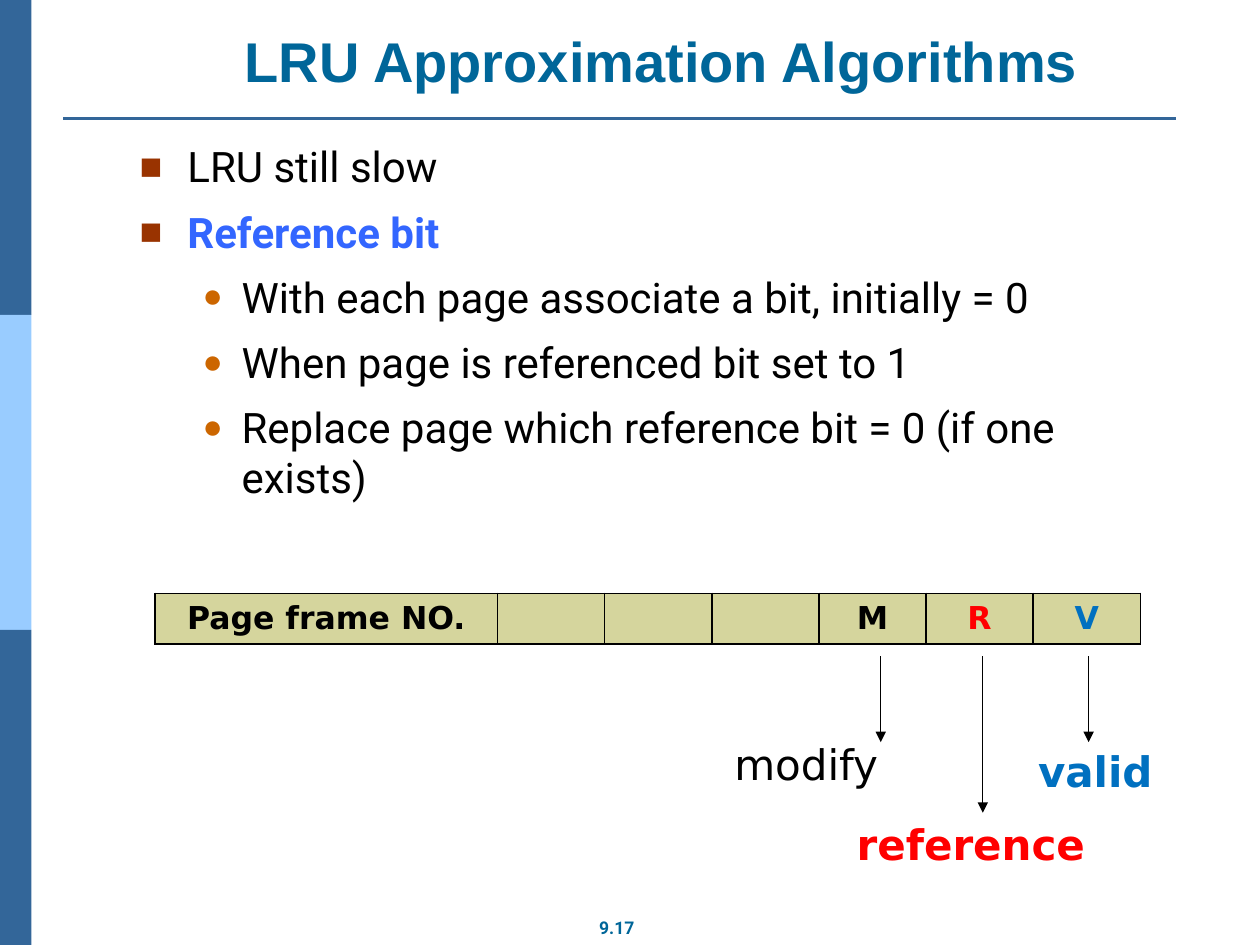
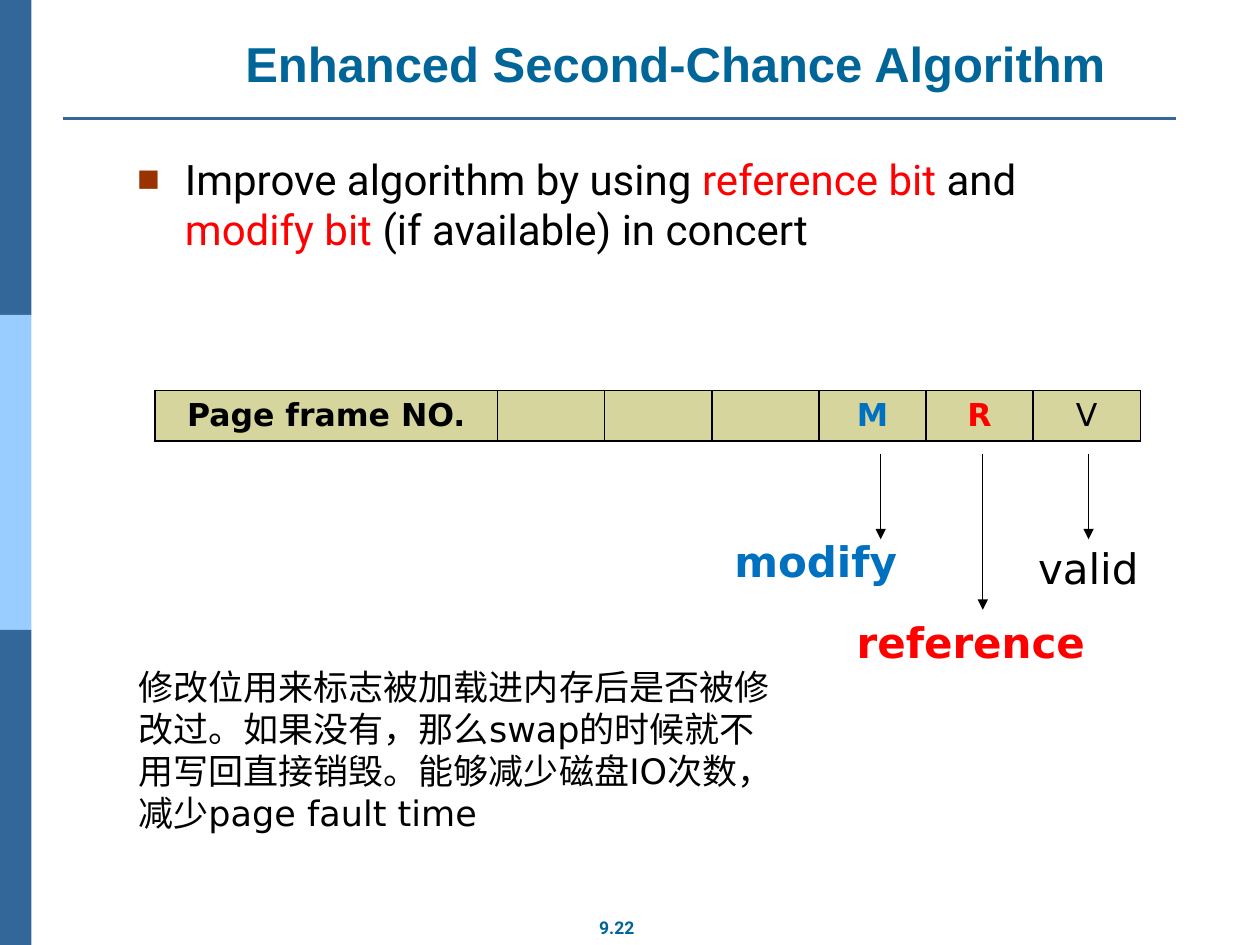
from lxml import etree
from pptx import Presentation
from pptx.dml.color import RGBColor
from pptx.enum import shapes, text
from pptx.oxml.ns import qn
from pptx.util import Inches, Pt

COLORS = {
    "band": "336699", "band_light": "99CCFF", "title": "006699",
    "square": "993300", "dot": "CC6600", "term": "3366FF",
    "black": "000000", "red": "FF0000", "blue": "0070C0", "cell": "D5D59D",
}
BODY_FONT, LABEL_FONT, TITLE_FONT = "Roboto", "DejaVu Sans", "Arial"
# Per level: character, colour, size in percent, left margin, hanging indent
BULLETS = [("■", "square", 90, 0.38, -0.38), ("●", "dot", 80, 0.81, -0.31)]
FRAME_COLUMNS = [2.72] + [0.85] * 6


def rgb(name):
    return RGBColor.from_string(COLORS[name])


def add_xml(parent, tag, **attributes):
    return etree.SubElement(parent, qn(tag), attributes)


def style(font, name, size, color, bold=False):
    font.name, font.size, font.bold = name, Pt(size), bold
    font.color.rgb = rgb(color)


def add_box(slide, left, top, width, height, wrap=True):
    box = slide.shapes.add_textbox(*map(Inches, (left, top, width, height)))
    box.text_frame.word_wrap = wrap
    return box.text_frame


def add_label(slide, place, words, font, size, color, bold=False,
              align=text.PP_ALIGN.LEFT, anchor=text.MSO_ANCHOR.TOP, wrap=True):
    frame = add_box(slide, *place, wrap=wrap)
    frame.vertical_anchor = anchor
    paragraph = frame.paragraphs[0]
    paragraph.text, paragraph.alignment = words, align
    style(paragraph.font, font, size, color, bold)


def add_line(slide, start, end, color, width, arrow=False):
    line = slide.shapes.add_connector(
        shapes.MSO_CONNECTOR.STRAIGHT, *map(Inches, start + end))
    line.line.color.rgb = rgb(color)
    line.line.width = Pt(width)
    if arrow:
        add_xml(line.line._get_or_add_ln(), "a:tailEnd", type="triangle")
    add_xml(line._element.spPr, "a:effectLst")


def add_slide(presentation, title, title_place, title_size, number):
    """Add a slide with the side bands, title, rule and page number."""
    slide = presentation.slides.add_slide(presentation.slide_layouts[6])
    for index, color in enumerate(("band", "band_light", "band")):
        band = slide.shapes.add_shape(
            shapes.MSO_SHAPE.RECTANGLE, 0, Inches(2.5 * index), Inches(0.25), Inches(2.5))
        band.shadow.inherit = False
        band.fill.solid()
        band.fill.fore_color.rgb = rgb(color)
        band.line.fill.background()
    add_line(slide, (0.5, 0.94), (9.33, 0.94), "band", 1.5)
    center = text.PP_ALIGN.CENTER
    add_label(slide, (4.65, 7.23, 0.49, 0.27), number, BODY_FONT, 10, "title", True,
              center, wrap=False)
    add_label(slide, title_place + (8.5, 0.63), title, TITLE_FONT, title_size, "title", True,
              center, text.MSO_ANCHOR.BOTTOM)
    return slide


def add_bullets(slide, place, items):
    """Each item is a level and a list of (words, colour, bold) runs."""
    frame = add_box(slide, *place)
    for index, (level, runs) in enumerate(items):
        paragraph = frame.add_paragraph() if index else frame.paragraphs[0]
        paragraph.level = level
        if index:
            paragraph.space_before = Pt(8.4)
        character, color, size, margin, indent = BULLETS[level]
        properties = paragraph._p.get_or_add_pPr()
        properties.set("marL", str(Inches(margin)))
        properties.set("indent", str(Inches(indent)))
        add_xml(add_xml(properties, "a:buClr"), "a:srgbClr", val=COLORS[color])
        add_xml(properties, "a:buSzPct", val=str(size * 1000))
        add_xml(properties, "a:buFont", typeface="Arial")
        add_xml(properties, "a:buChar", char=character)
        for words, run_color, bold in runs:
            run = paragraph.add_run()
            run.text = words
            style(run.font, BODY_FONT, 24, run_color, bold)


def format_cell(cell):
    properties = cell._tc.get_or_add_tcPr()
    for side in ("a:lnL", "a:lnR", "a:lnT", "a:lnB"):
        border = add_xml(properties, side, w=str(Pt(1)))
        add_xml(add_xml(border, "a:solidFill"), "a:srgbClr", val=COLORS["black"])
    cell.fill.solid()
    cell.fill.fore_color.rgb = rgb("cell")
    cell.vertical_anchor = text.MSO_ANCHOR.MIDDLE


def add_page_entry(slide, top, bits):
    """Draw the page table entry; bits maps M, R and V to (colour, bold)."""
    table = slide.shapes.add_table(
        1, len(FRAME_COLUMNS), Inches(1.23), Inches(top),
        Inches(sum(FRAME_COLUMNS)), Inches(0.4)).table
    table.first_row = table.horz_banding = False
    for column, width in zip(table.columns, FRAME_COLUMNS):
        column.width = Inches(width)
    entries = ["Page frame NO.", "", "", "", *bits]
    for cell, words in zip(table.rows[0].cells, entries):
        format_cell(cell)
        paragraph = cell.text_frame.paragraphs[0]
        paragraph.text, paragraph.alignment = words, text.PP_ALIGN.CENTER
        style(paragraph.font, LABEL_FONT, 18, *bits.get(words, ("black", True)))

    meanings = [
        # bit, meaning, arrow x, arrow end, label left, label top, label width
        ("M", "modify", 6.99, 1.18, 5.73, 1.1, 1.73),
        ("R", "reference", 7.8, 1.74, 6.7, 1.74, 2.3),
        ("V", "valid", 8.64, 1.18, 8.14, 1.16, 1.86),
    ]
    for bit, meaning, x, end, left, label_top, width in meanings:
        add_line(slide, (x, top + 0.5), (x, top + end), "black", 0.75, arrow=True)
        add_label(slide, (left, top + label_top, width, 0.5), meaning,
                  LABEL_FONT, 24, *bits[bit])


def main():
    presentation = Presentation()
    presentation.slide_width, presentation.slide_height = Inches(10), Inches(7.5)

    slide = add_slide(presentation, "LRU Approximation Algorithms", (1, 0.16), 32, "9.17")
    add_bullets(slide, (1.01, 1.07, 8.06, 3), [
        (0, [("LRU still slow", "black", False)]),
        (0, [("Reference bit", "term", True)]),
        (1, [("With each page associate a bit, initially = 0", "black", False)]),
        (1, [("When page is referenced bit set to 1", "black", False)]),
        (1, [("Replace page which reference bit = 0 (if one exists)", "black", False)]),
    ])
    add_page_entry(slide, 4.71, {
        "M": ("black", False), "R": ("red", True), "V": ("blue", True)} | {"M": ("black", False)})
    entry = next(shape for shape in slide.shapes if shape.has_table)
    entry.table.cell(0, 4).text_frame.paragraphs[0].font.bold = True

    slide = add_slide(presentation, "Enhanced Second-Chance Algorithm", (1.11, 0.15), 28, "9.22")
    add_bullets(slide, (0.99, 1.17, 7.83, 5.63), [
        (0, [("Improve algorithm by using ", "black", False),
             ("reference bit", "red", False),
             (" and ", "black", False),
             ("modify bit", "red", False),
             (" (if available) in concert", "black", False)]),
    ])
    add_page_entry(slide, 3.1, {
        "M": ("blue", True), "R": ("red", True), "V": ("black", False)})
    add_label(slide, (1, 5.23, 5.33, 1.46),
              "修改位用来标志被加载进内存后是否被修改过。如果没有，那么swap的时候就不用写回直接销毁。"
              "能够减少磁盘IO次数，减少page fault time", LABEL_FONT, 20, "black")

    presentation.save("out.pptx")


if __name__ == "__main__":
    main()
